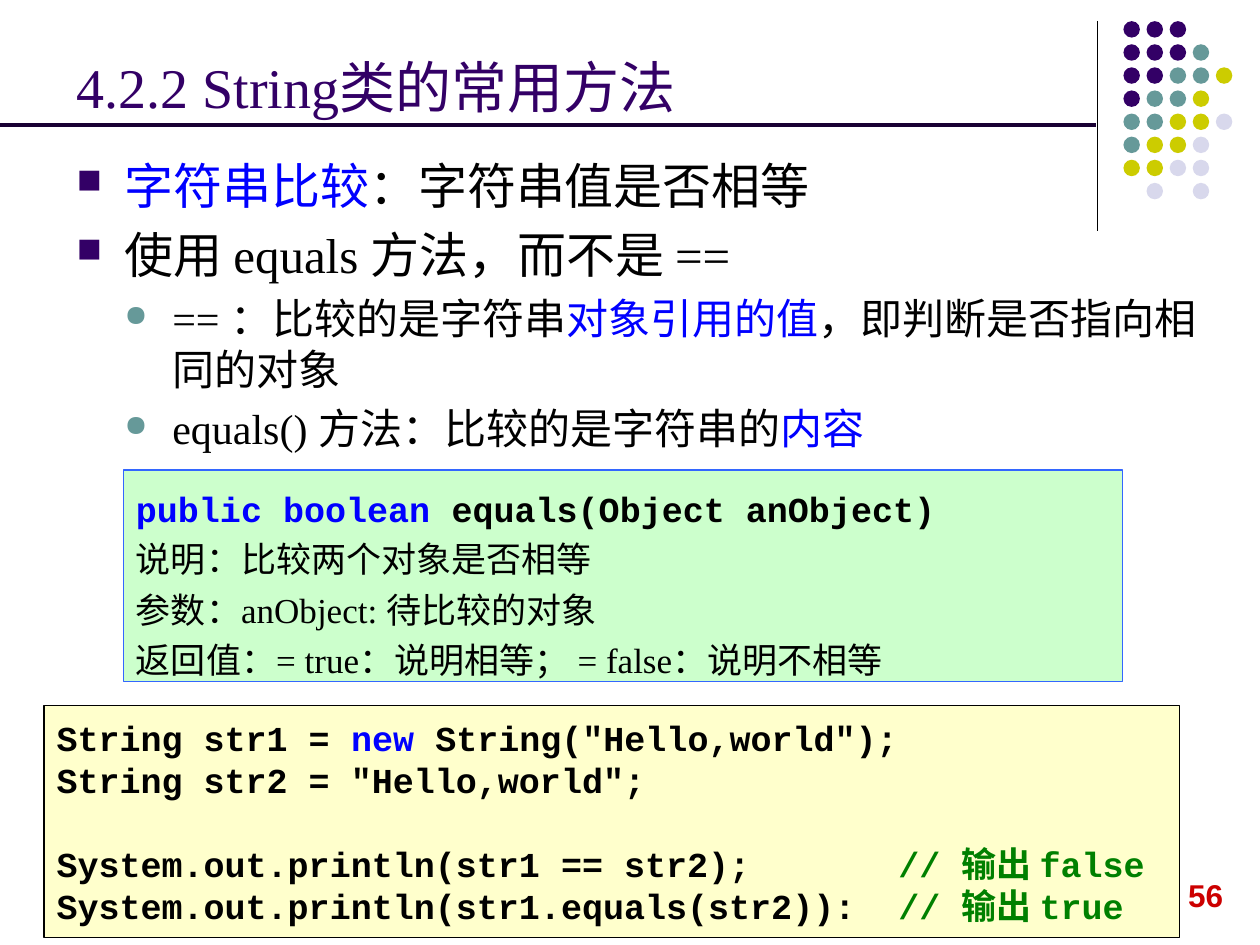
from lxml import etree
from pptx import Presentation
from pptx.dml.color import RGBColor
from pptx.enum.shapes import MSO_CONNECTOR, MSO_SHAPE
from pptx.enum.text import MSO_ANCHOR
from pptx.oxml.ns import qn
from pptx.util import Pt

LINE, RECT, OVAL = MSO_CONNECTOR.STRAIGHT, MSO_SHAPE.RECTANGLE, MSO_SHAPE.OVAL
TOP, MID, LOW = MSO_ANCHOR.TOP, MSO_ANCHOR.MIDDLE, MSO_ANCHOR.BOTTOM

theme = {
    "black": "000000", "blue": "0000FF", "green": "008000", "red": "CC0000",
    "plum": "330066", "teal": "669999", "lime": "CCCC00", "mist": "D8D8EC",
    "rule": "190033", "mint": "CCFFCC", "edge": "3366FF", "cream": "FFFFCC",
    "title": 32, "main": 28, "sub": 24, "code": 20, "page": 18,
    "serif": "Times New Roman", "mono": "Courier New",
    "sans": "Arial", "cjk": "Noto Sans CJK SC",
}


def tint(name):
    return RGBColor.from_string(theme[name])


def write(para, text, size="code", color="black", face="serif", bold=False):
    run = para.add_run()
    run.text = text
    font = run.font
    font.size, font.bold = Pt(theme[size]), bold
    font.color.rgb = tint(color)
    font.name = theme[face]
    etree.SubElement(run.font._element, qn("a:ea"), typeface=theme["cjk"])


deck = Presentation()
deck.slide_width, deck.slide_height = Pt(720), Pt(540)
slide = deck.slides.add_slide(deck.slide_layouts[6])
shapes = slide.shapes

for x1, y1, x2, y2, color, width in [
    (627, 12, 627, 132, "black", 0.75),
    (0, 71.5, 626.5, 71.5, "rule", 2.25),
]:
    rule = shapes.add_connector(LINE, Pt(x1), Pt(y1), Pt(x2), Pt(y2))
    rule.line.color.rgb = tint(color)
    rule.line.width = Pt(width)
    etree.SubElement(rule._element.spPr, qn("a:effectLst"))

dots = ["PPP", "PPPT", "PPTTL", "PTTL", "TTLLM", "TLLM", "LLMM", " M M"]
inks = {"P": "plum", "T": "teal", "L": "lime", "M": "mist"}
for row, marks in enumerate(dots):
    for col, mark in enumerate(marks):
        if mark in inks:
            left, top = 642 + 13.2 * col, 12.1 + 13.2 * row
            dot = shapes.add_shape(OVAL, Pt(left), Pt(top), Pt(9.4), Pt(9.4))
            dot.shadow.inherit = False
            dot.fill.solid()
            dot.fill.fore_color.rgb = tint(inks[mark])
            dot.line.fill.background()

blue, green = {"color": "blue"}, {"color": "green"}
mono = {"face": "mono", "bold": True}
main = {"bullet": ("■", "plum", 27.4), "gap": 5.6, "lead": 34}
sub = {"bullet": ("●", "teal", 54.7), "gap": 4.8, "lead": 29}
big, small = {"size": "main"}, {"size": "sub"}
first = {**main, "gap": 0}
sig, code = {"lead": 28.8}, {"lead": 24}
tabbed = {**code, "tab": 481}

boxes = [
    ((36.7, 15.1, 594, 56.9), None, None, LOW, 3.6, [
        ({}, {"size": "title", "color": "plum"}, [("4.2.2 String类的常用方法", {})]),
    ]),
    ((36.7, 83.5, 648, 153.4), None, None, TOP, 5, [
        (first, big, [("字符串比较", blue), ("：字符串值是否相等", {})]),
        (main, big, [("使用 equals 方法，而不是 ==", {})]),
        (sub, small, [("== ：比较的是字符串", {}), ("对象引用的值", blue),
                      ("，即判断是否指向相同的对象", {})]),
        (sub, small, [("equals() 方法：比较的是字符串的", {}), ("内容", blue)]),
    ]),
    ((25.2, 403.2, 648.7, 132.5), "cream", "black", MID, 3.6, [
        (code, mono, [("String str1 = ", {}), ("new", blue),
                      (' String("Hello,world");', {})]),
        (code, mono, [('String str2 = "Hello,world";', {})]),
        ({**tabbed, "gap": 24}, mono,
         [("System.out.println(str1 == str2);\t", {}), ("// 输出 false", green)]),
        (tabbed, mono,
         [("System.out.println(str1.equals(str2)):\t", {}), ("// 输出 true", green)]),
    ]),
    ((70.6, 268.6, 571, 121), "mint", "edge", TOP, 5, [
        (sig, mono, [("public boolean ", blue), ("equals(Object anObject)", {})]),
        (sig, {}, [("说明：比较两个对象是否相等", {})]),
        (sig, {}, [("参数：anObject: 待比较的对象", {})]),
        (sig, {}, [("返回值：= true：说明相等； = false：说明不相等", {})]),
    ]),
    ((671.8, 496.8, 36.7, 28.8), None, None, TOP, 3.6, [
        ({}, {"size": "page", "color": "red", "face": "sans", "bold": True},
         [("56", {})]),
    ]),
]

for place, fill, edge, anchor, inset, paras in boxes:
    place = [Pt(n) for n in place]
    if fill:
        box = shapes.add_shape(RECT, *place)
        box.shadow.inherit = False
        box.fill.solid()
        box.fill.fore_color.rgb = tint(fill)
        box.line.color.rgb = tint(edge)
        box.line.width = Pt(0.75)
    else:
        box = shapes.add_textbox(*place)
    frame = box.text_frame
    frame.word_wrap = True
    frame.vertical_anchor = anchor
    frame.margin_left, frame.margin_right = Pt(7.2), Pt(0)
    frame.margin_top, frame.margin_bottom = Pt(inset), Pt(3.6)
    for index, (form, base, runs) in enumerate(paras):
        para = frame.paragraphs[0] if index == 0 else frame.add_paragraph()
        para.alignment = 1
        if "lead" in form:
            para.line_spacing = Pt(form["lead"])
        if form.get("gap"):
            para.space_before = Pt(form["gap"])
        props = para._p.get_or_add_pPr()
        if "bullet" in form:
            sign, color, indent = form["bullet"]
            props.set("marL", str(Pt(indent)))
            props.set("indent", str(Pt(-27.4)))
            ink = etree.SubElement(props, qn("a:buClr"))
            etree.SubElement(ink, qn("a:srgbClr"), val=theme[color])
            etree.SubElement(props, qn("a:buSzPct"), val="70000")
            etree.SubElement(props, qn("a:buChar"), char=sign)
        if "tab" in form:
            tabs = etree.SubElement(props, qn("a:tabLst"))
            etree.SubElement(tabs, qn("a:tab"), pos=str(Pt(form["tab"])), algn="l")
        for text, style in runs:
            write(para, text, **{**base, **style})

deck.save("out.pptx")
